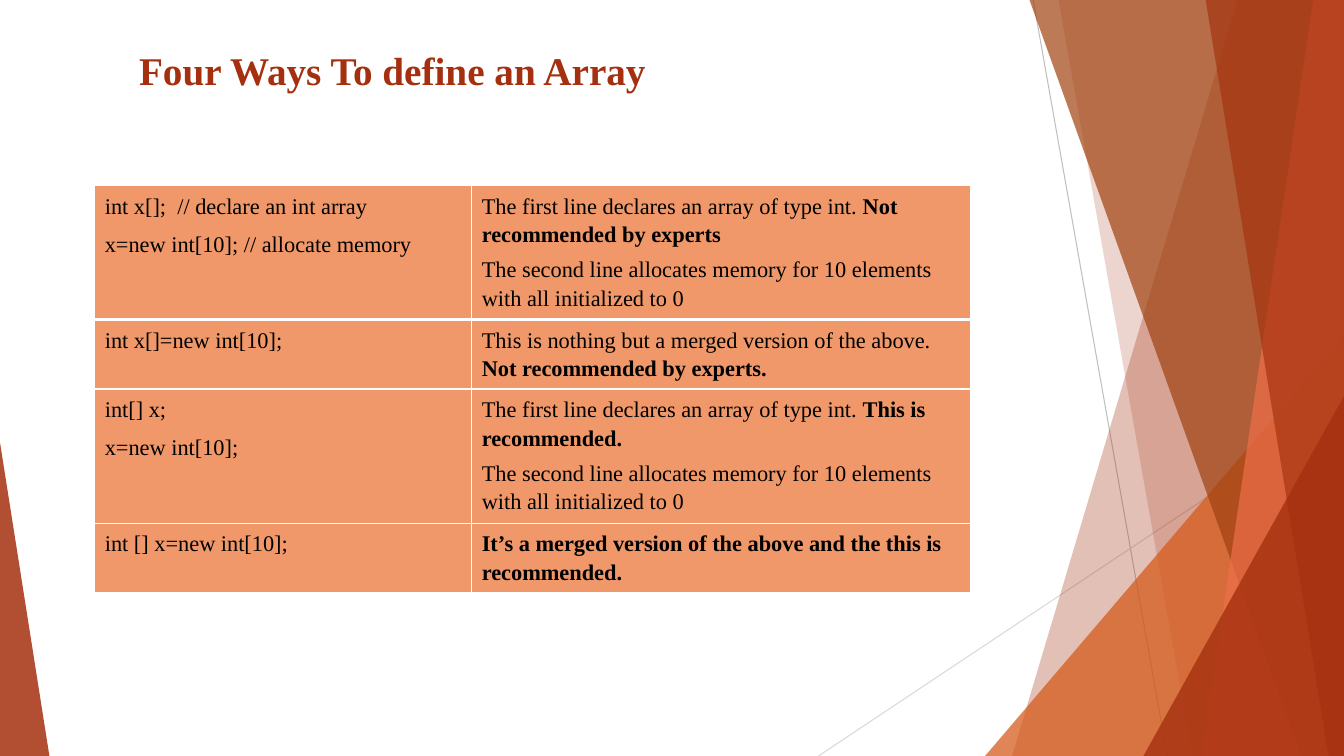
from dataclasses import dataclass

from lxml import etree
from pptx import Presentation
from pptx.dml.color import RGBColor
from pptx.enum import shapes, text
from pptx.oxml import ns
from pptx.util import Pt


@dataclass(frozen=True)
class Theme:
    font: str = "Times New Roman"
    title_size: float = 28
    body_size: float = 16
    rust: str = "A5300F"
    orange: str = "D55816"
    brown: str = "A04210"
    coral: str = "EE6E4A"
    cell: str = "F09869"
    ink: str = "000000"
    border: str = "FFFFFF"
    steep_line: str = "BFBFBF"
    shallow_line: str = "D9D9D9"


@dataclass(frozen=True)
class Box:
    left: float
    top: float
    width: float
    height: float

    @property
    def right(self):
        return self.left + self.width

    @property
    def bottom(self):
        return self.top + self.height


THEME = Theme()
SLIDE = Box(0, 0, 960, 540)
FACETS = Box(700, -0.72, 260, 540.72)
ACCENT = Box(0, 316.08, 35.28, 223.92)
TITLE = Box(92.16, 29.52, 577.44, 60.48)
TABLE = Box(67.68, 132.48, 625.68, 290.88)

COLUMN_WIDTHS = (269.28, 356.4)
ROW_HEIGHTS = (95.76, 49.68, 95.76, 49.68)
CODE_SPACING = 6.7
ALLOCATION = [("The second line allocates memory for 10 elements "
               "with all initialized to 0", False)]
DECLARATION = ("The first line declares an array of type int. ", False)

# Each way: code lines, explanation paragraphs of (wording, bold), space before
WAYS = [
    (["int x[];  // declare an int array", "x=new int[10]; // allocate memory"],
     [[DECLARATION, ("Not recommended by experts", True)], ALLOCATION], 4.3),
    (["int x[]=new int[10];"],
     [[("This is nothing but a merged version of the above. ", False),
       ("Not recommended by experts.", True)]], 4.3),
    (["int[] x;", "x=new int[10];"],
     [[DECLARATION, ("This is recommended.", True)], ALLOCATION], 4.3),
    (["int [] x=new int[10];"],
     [[("It’s a merged version of the above and the this is recommended.", True)]], 4.8),
]


def paint(facet, color, opacity):
    facet.shadow.inherit = False
    facet.line.fill.background()
    facet.fill.solid()
    facet.fill.fore_color.rgb = RGBColor.from_string(color)
    srgb = facet._element.spPr.find(".//" + ns.qn("a:srgbClr"))
    etree.SubElement(srgb, ns.qn("a:alpha"), val=str(opacity * 1000))


def add_ray(slide, start, end, color):
    ray = slide.shapes.add_connector(
        shapes.MSO_CONNECTOR.STRAIGHT, *(Pt(v) for v in (*start, *end)))
    ray.line.color.rgb = RGBColor.from_string(color)
    ray.line.width = Pt(0.75)
    etree.SubElement(ray._element.spPr, ns.qn("a:effectLst"))


def add_band(slide, box, top_x, bottom_x, color, opacity):
    """Four-sided facet between a slanted left edge and the box's right edge."""
    outline = slide.shapes.build_freeform(Pt(box.left + top_x), Pt(box.top))
    outline.add_line_segments([
        (Pt(box.right), Pt(box.top)),
        (Pt(box.right), Pt(box.bottom)),
        (Pt(box.left + bottom_x), Pt(box.bottom)),
    ], close=True)
    paint(outline.convert_to_shape(), color, opacity)


def add_corner(slide, box, apex, color, opacity):
    corner = slide.shapes.add_shape(
        shapes.MSO_SHAPE.ISOSCELES_TRIANGLE,
        Pt(box.left), Pt(box.top), Pt(box.width), Pt(box.height))
    corner.adjustments[0] = apex
    paint(corner, color, opacity)


def add_right_corner(slide, box, width, height, color, opacity):
    corner_box = Box(box.right - width, box.bottom - height, width, height)
    add_corner(slide, corner_box, 1, color, opacity)


def add_facets(slide, box):
    # Thin rays behind the facets
    add_ray(slide, (box.left + 38, box.top + 0.72),
            (box.left + 133.76, box.bottom), THEME.steep_line)
    add_ray(slide, (box.right, box.top + 290.88),
            (box.left - 115.36, box.bottom), THEME.shallow_line)
    # Overlapping translucent facets, back to front
    add_band(slide, box, 184.16, 22.88, THEME.rust, 30)
    add_band(slide, box, 56, 151.76, THEME.rust, 20)
    add_right_corner(slide, box, 256.32, 300.24, THEME.orange, 72)
    add_band(slide, box, 35.12, 229.52, THEME.brown, 70)
    add_band(slide, box, 238.16, 158.24, THEME.coral, 70)
    add_band(slide, box, 161.12, 248.96, THEME.rust, 65)
    add_right_corner(slide, box, 143.28, 257.04, THEME.rust, 80)


def add_run(paragraph, wording, size, color, bold):
    run = paragraph.add_run()
    run.text = wording
    run.font.name = THEME.font
    run.font.size = Pt(size)
    run.font.bold = bold
    run.font.color.rgb = RGBColor.from_string(color)


def add_title(slide, box):
    title = slide.shapes.title
    title.left, title.top = Pt(box.left), Pt(box.top)
    title.width, title.height = Pt(box.width), Pt(box.height)
    frame = title.text_frame
    frame.word_wrap = True
    frame.auto_size = text.MSO_AUTO_SIZE.NONE
    frame.vertical_anchor = text.MSO_ANCHOR.TOP
    heading = frame.paragraphs[0]
    heading.alignment = text.PP_ALIGN.LEFT
    add_run(heading, "Four Ways To define an Array", THEME.title_size, THEME.rust, True)


def set_borders(cell, top, bottom):
    properties = cell._tc.get_or_add_tcPr()
    widths = {"a:lnL": 1, "a:lnR": 1, "a:lnT": top, "a:lnB": bottom}
    for position, (tag, width) in enumerate(widths.items()):
        edge = etree.Element(ns.qn(tag), w=str(Pt(width)))
        fill = etree.SubElement(edge, ns.qn("a:solidFill"))
        etree.SubElement(fill, ns.qn("a:srgbClr"), val=THEME.border)
        properties.insert(position, edge)


def fill_cell(cell, paragraphs, space_before):
    cell.fill.solid()
    cell.fill.fore_color.rgb = RGBColor.from_string(THEME.cell)
    frame = cell.text_frame
    for index, runs in enumerate(paragraphs):
        paragraph = frame.add_paragraph() if index else frame.paragraphs[0]
        paragraph.line_spacing = 1.15
        paragraph.space_before = Pt(space_before)
        for wording, bold in runs:
            add_run(paragraph, wording, THEME.body_size, THEME.ink, bold)


def add_ways_table(slide, box):
    ways = slide.shapes.add_table(
        len(WAYS), len(COLUMN_WIDTHS),
        Pt(box.left), Pt(box.top), Pt(box.width), Pt(box.height)).table
    ways.first_row = ways.horz_banding = False
    for column, width in zip(ways.columns, COLUMN_WIDTHS):
        column.width = Pt(width)
    for index, (code, explanation, spacing) in enumerate(WAYS):
        row = ways.rows[index]
        row.height = Pt(ROW_HEIGHTS[index])
        code_cell, explanation_cell = row.cells
        fill_cell(code_cell, [[(line, False)] for line in code], CODE_SPACING)
        fill_cell(explanation_cell, explanation, spacing)
        # The rule under the first row is heavier
        for cell in row.cells:
            set_borders(cell, 3 if index == 1 else 1, 3 if index == 0 else 1)


def main():
    deck = Presentation()
    deck.slide_width, deck.slide_height = Pt(SLIDE.width), Pt(SLIDE.height)
    slide = deck.slides.add_slide(deck.slide_layouts[5])
    add_facets(slide, FACETS)
    add_corner(slide, ACCENT, 0, THEME.rust, 85)
    add_title(slide, TITLE)
    add_ways_table(slide, TABLE)
    deck.save("out.pptx")


if __name__ == "__main__":
    main()
